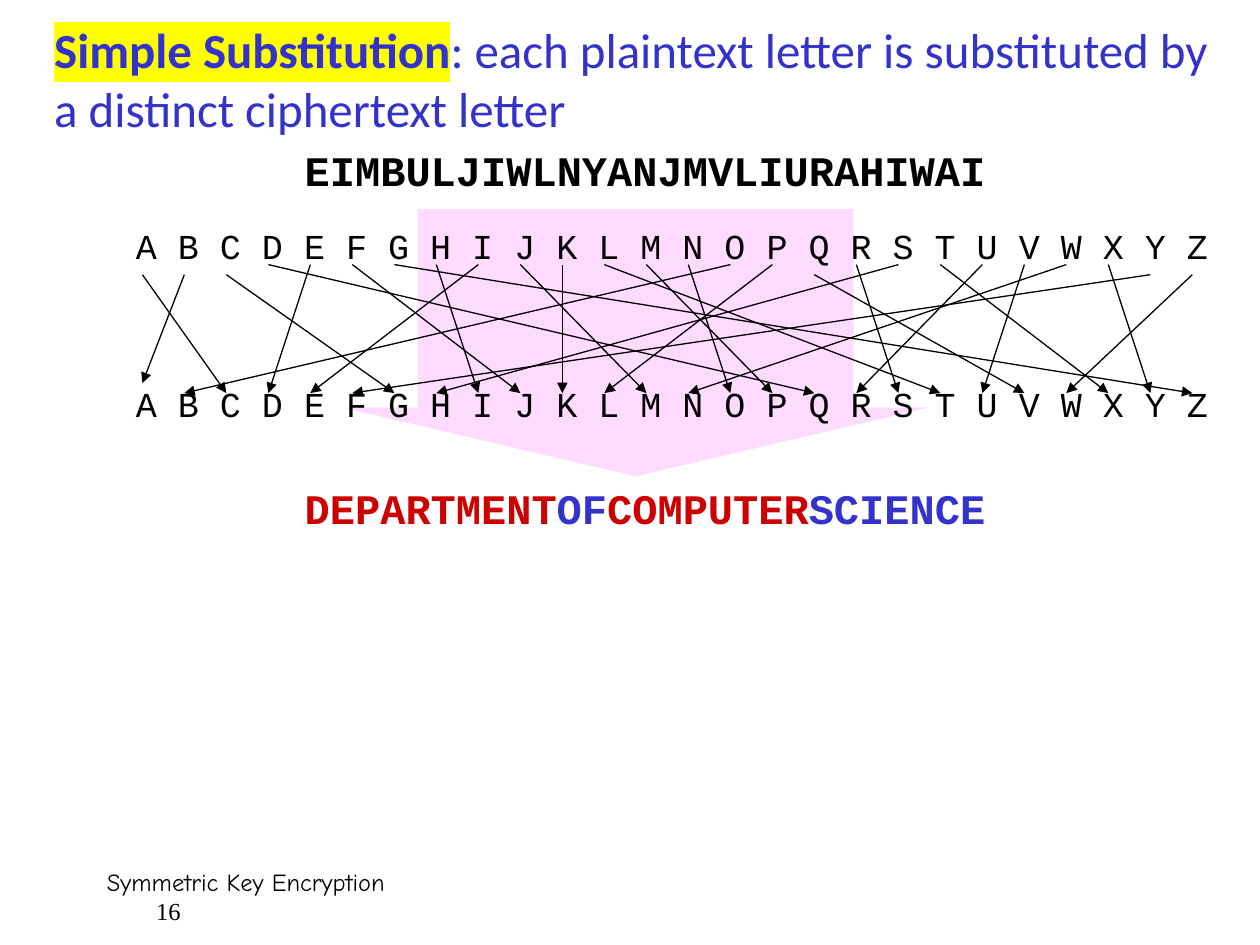
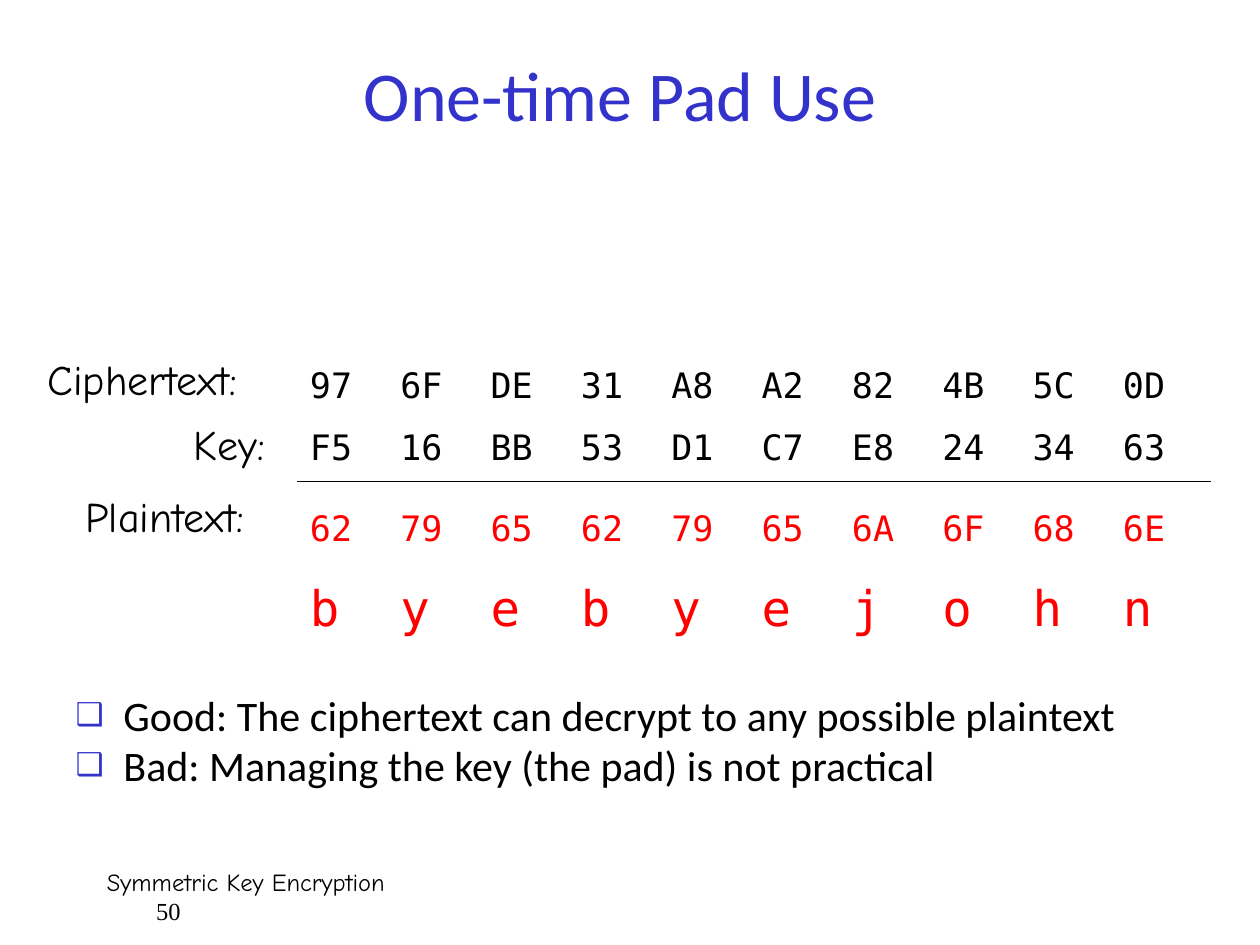
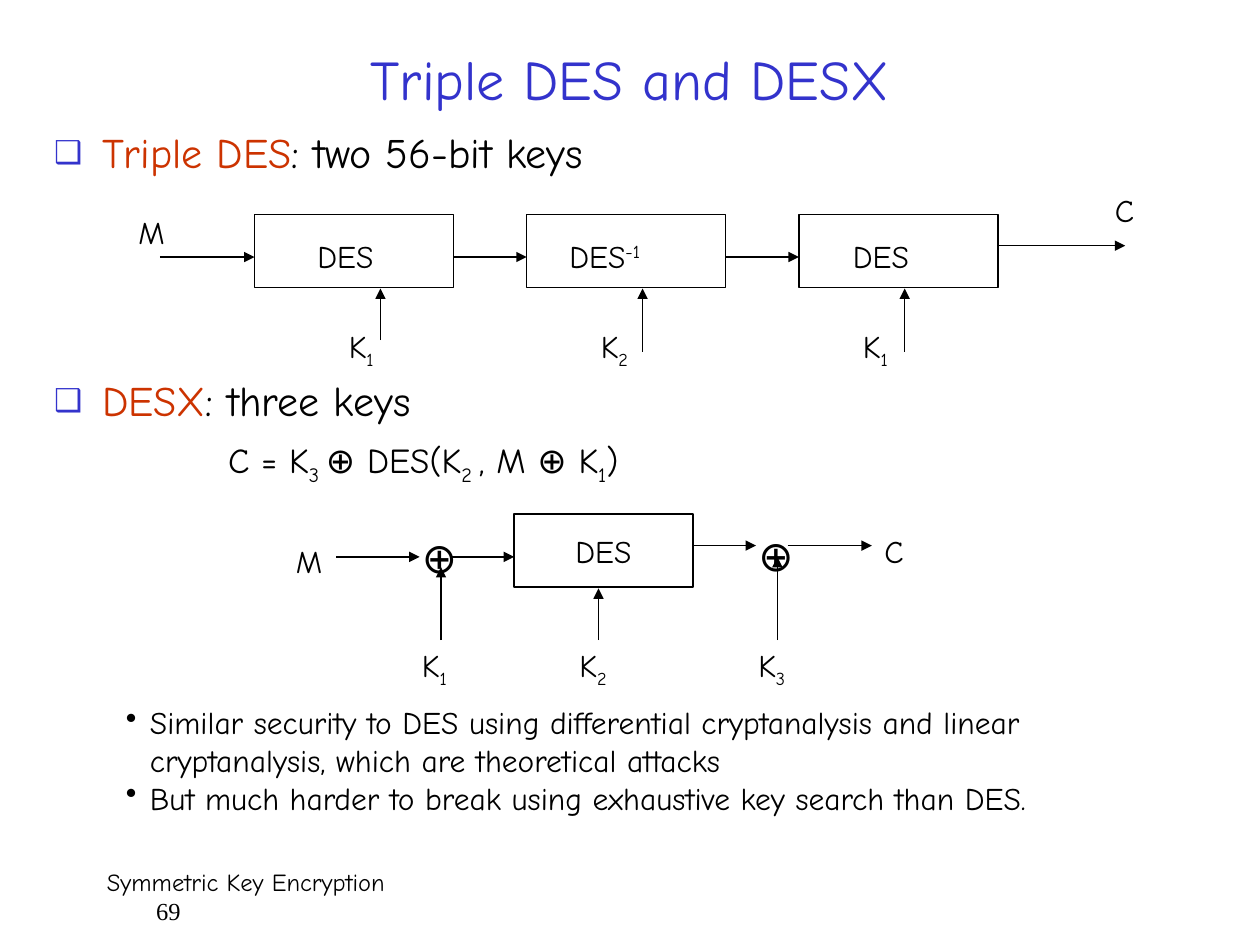
import pptx
import pptx.util
import pptx.dml.color
import pptx.enum.shapes
import pptx.enum.text
import pptx.oxml.ns
import lxml.etree

HUES = {"ink": "000000", "blue": "3333CC", "red": "CC0000", "rust": "CC3300",
        "bright": "FF0000", "pink": "FFCCFF", "yellow": "FFFF00"}
HAND, SANS, TYPE, CODE, SERIF = ("Comic Neue", "Calibri", "Courier New",
                                 "DejaVu Sans Mono", "Times New Roman")
SUB = {"base": -25}
BOXES = {"foot": (0.75, 6.83, 8.58, 0.5)}
ALPHA = "ABCDEFGHIJKLMNOPQRSTUVWXYZ"
KEY = "CAGQDJZIEMKTPOBLVSHXRUNYFW"

Inches = pptx.util.Inches
Pt = pptx.util.Pt
ANCHOR = pptx.enum.text.MSO_ANCHOR
FIT = pptx.enum.text.MSO_AUTO_SIZE
ALIGN = pptx.enum.text.PP_ALIGN
SHAPE = pptx.enum.shapes.MSO_SHAPE


def hue(name):
    """Return the named colour."""
    return pptx.dml.color.RGBColor.from_string(HUES[name])


def node(parent, tag, **attrs):
    """Append a drawing element to the parent."""
    return lxml.etree.SubElement(parent, pptx.oxml.ns.qn(tag), attrs)


def write(para, runs, font=HAND, size=18, tint="ink"):
    """Add runs, each a string or a pair of text and options."""
    for item in runs:
        text, opts = (item, {}) if isinstance(item, str) else item
        run = para.add_run()
        run.text = text
        run.font.name = opts.get("font", font)
        run.font.size = Pt(opts.get("size", size))
        run.font.bold = opts.get("bold", False)
        run.font.color.rgb = hue(opts.get("tint", tint))
        props = run._r.get_or_add_rPr()
        if "base" in opts:
            props.set("baseline", str(opts["base"] * 1000))
        if "mark" in opts:
            light = node(props, "a:highlight")
            node(light, "a:srgbClr", val=HUES[opts["mark"]])
            props.find(pptx.oxml.ns.qn("a:solidFill")).addnext(light)


def indent(para, left, hang=0, mark=None, tint=None, size=None):
    """Set the indent of a paragraph and its bullet."""
    props = para._p.get_or_add_pPr()
    props.set("marL", str(Inches(left)))
    props.set("indent", str(-Inches(hang)))
    if tint:
        node(node(props, "a:buClr"), "a:srgbClr", val=HUES[tint])
    if size:
        node(props, "a:buSzPct", val=str(size * 1000))
    if mark:
        node(props, "a:buChar", char=mark)
    else:
        node(props, "a:buNone")


def square(para):
    """Give a paragraph the hollow square bullet."""
    indent(para, 0.38, 0.38, "❑", "blue", 75)


def place(shape, box):
    """Move a shape to a box."""
    shape.left, shape.top, shape.width, shape.height = map(Inches, box)


def label(slide, box, runs, wrap=False, **style):
    """Add a text box with one line of runs."""
    frame = slide.shapes.add_textbox(*map(Inches, box)).text_frame
    frame.word_wrap = wrap
    frame.auto_size = FIT.SHAPE_TO_FIT_TEXT
    write(frame.paragraphs[0], runs, **style)


def line(slide, start, end, head=True):
    """Draw a thin line, with an arrowhead at its end."""
    link = slide.shapes.add_connector(
        pptx.enum.shapes.MSO_CONNECTOR.STRAIGHT, *map(Inches, (*start, *end)))
    link.line.color.rgb = hue("ink")
    link.line.width = Pt(0.75)
    props = link._element.spPr
    if head:
        node(props.find(pptx.oxml.ns.qn("a:ln")), "a:tailEnd", type="triangle")
    node(props, "a:effectLst")


def block(slide, box):
    """Draw an outlined box and return it."""
    shape = slide.shapes.add_shape(SHAPE.RECTANGLE, *map(Inches, box))
    shape.shadow.inherit = False
    shape.fill.background()
    shape.line.color.rgb = hue("ink")
    shape.line.width = Pt(0.75)
    return shape


def title(slide, box, runs, size, font=SANS, align=ALIGN.CENTER):
    """Fill and place the title."""
    head = slide.shapes.title
    place(head, box)
    frame = head.text_frame
    frame.auto_size = FIT.NONE
    frame.vertical_anchor = ANCHOR.MIDDLE
    frame.paragraphs[0].alignment = align
    write(frame.paragraphs[0], runs, font, size, "blue")


def body(slide, box):
    """Place the body placeholder and return its frame."""
    hold = slide.placeholders[1]
    place(hold, box)
    hold.text_frame.auto_size = FIT.NONE
    return hold.text_frame


def foot(slide, box, page):
    """Add the footer and page number."""
    frame = slide.shapes.add_textbox(*map(Inches, box)).text_frame
    frame.word_wrap = True
    write(frame.paragraphs[0], ["Symmetric Key Encryption"], size=14)
    para = frame.add_paragraph()
    indent(para, 0.39)
    write(para, [str(page)], SERIF, 14)


def start(deck, layout, page):
    """Add a slide with its footer."""
    slide = deck.slides.add_slide(deck.slide_layouts[layout])
    foot(slide, BOXES["foot"], page)
    return slide


def cipher(slide, box):
    """Draw the letter map on its broad arrow."""
    left, top, width, height = box
    arrow = slide.shapes.add_shape(
        SHAPE.DOWN_ARROW, *map(Inches, (left + 1.74, top, 4.65, height)))
    arrow.adjustments[0], arrow.adjustments[1] = 0.744, 0.257
    arrow.shadow.inherit = False
    arrow.line.fill.background()
    arrow.fill.solid()
    arrow.fill.fore_color.rgb = hue("pink")
    tone = next(arrow._element.spPr.iter(pptx.oxml.ns.qn("a:srgbClr")))
    node(tone, "a:alpha", val="70000")
    for drop in (0.07, 1.33):
        label(slide, (left, top + drop, width, 0.43), [" ".join(ALPHA)],
              True, font=TYPE, size=20)
    for rank, (plain, goal) in enumerate(zip(ALPHA, KEY)):
        high = 0.52 if plain in "ABCQYZ" else 0.44
        low = 1.38 if plain == "B" else 1.46
        line(slide, (left + 0.15 + rank / 3, top + high),
             (left + 0.15 + ALPHA.index(goal) / 3, top + low))


def grid(slide, box, rows, tall):
    """Add a clear table of codes, each row a tuple of cells, size and tint."""
    frame = slide.shapes.add_table(len(rows), 10, *map(Inches, box))
    table = frame.table
    table.first_row = table.horz_banding = False
    for col in table.columns:
        col.width = Inches(box[2] / 10)
    for rank, (codes, size, tint) in enumerate(rows):
        table.rows[rank].height = Inches(tall[rank])
        for spot, cell in enumerate(table.rows[rank].cells):
            cell.fill.background()
            cell.vertical_anchor = ANCHOR.MIDDLE
            if codes:
                write(cell.text_frame.paragraphs[0], [codes[spot]],
                      CODE, size, tint)


def pad(slide, box):
    """Lay out the cipher, key and plain rows."""
    left, top, width, height = box
    wide = 7.17
    edge = left + 2.08
    grid(slide, (edge, top, wide, 1.22),
         [(None, 20, "ink"),
          ("97 6F DE 31 A8 A2 82 4B 5C 0D".split(), 20, "ink")], (0.58, 0.64))
    grid(slide, (edge, top + 1.07, wide, 1.93),
         [("F5 16 BB 53 D1 C7 E8 24 34 63".split(), 20, "ink"),
          ("62 79 65 62 79 65 6A 6F 68 6E".split(), 20, "bright"),
          ("byebyejohn", 28, "bright")], (0.64,) * 3)
    line(slide, (edge, top + 1.65), (left + width, top + 1.65), False)
    for text, across, down, size in (("Ciphertext:", 0, 0.59, 2),
                                     ("Key:", 1.16, 1.1, 0.86),
                                     ("Plaintext:", 0.3, 1.67, 1.7)):
        label(slide, (left + across, top + down, size, 0.57), [text], size=24)


def triple(slide, box):
    """Draw the chain of three DES blocks."""
    left, top, width, height = box
    stages = ((["DES"], 1.42, "1", 1.67, 1.23),
              (["DES", ("-1", {"base": 30})], 3.42, "2", 3.67, 1.32),
              (["DES"], 5.67, "1", 5.75, 1.32))
    for rank, (name, across, key, side, low) in enumerate(stages):
        edge = left + 1.02 + 2.16 * rank
        stem = left + 2.02 + 2.08 * rank
        gap = 0.58 if rank else 0.75
        block(slide, (edge, top + 0.23, 1.58, 0.58))
        label(slide, (left + across, top + 0.36, 0.8, 0.4), name)
        label(slide, (left + side, top + 1.08, 0.45, 0.4), ["K", (key, SUB)])
        line(slide, (edge - gap, top + 0.57), (edge, top + 0.57))
        line(slide, (stem, top + low), (stem, top + 0.82))
    line(slide, (left + 6.93, top + 0.48), (left + 7.93, top + 0.48))
    label(slide, (left, top + 0.17, 0.42, 0.4), ["M"])
    label(slide, (left + 7.75, top, 0.35, 0.4), ["C"])


def desx(slide, box):
    """Draw the DESX chain with its three keys."""
    left, top, width, height = box
    core = block(slide, (left + 1.83, top, 1.42, 0.58))
    frame = core.text_frame
    frame.word_wrap = False
    frame.vertical_anchor = ANCHOR.MIDDLE
    frame.paragraphs[0].alignment = ALIGN.CENTER
    write(frame.paragraphs[0], ["DES"])
    for across, down in ((1, 0.09), (3.67, 0.07)):
        label(slide, (left + across, top + down, 0.43, 0.43), ["⊕"], size=24)
    for begin, end, down in ((0.42, 1.08, 0.34), (1.33, 1.83, 0.34),
                             (3.25, 3.75, 0.25), (4, 4.67, 0.25)):
        line(slide, (left + begin, top + down), (left + end, top + down))
    for key, across, high in (("1", 1.25, 0.42), ("2", 2.5, 0.59),
                              ("3", 3.92, 0.34)):
        line(slide, (left + across, top + 1), (left + across, top + high))
        label(slide, (left + across - 0.25, top + 1, 0.45, 0.4),
              ["K", (key, SUB)])
    label(slide, (left, top + 0.17, 0.42, 0.4), ["M"])
    label(slide, (left + 4.67, top + 0.09, 0.35, 0.4), ["C"])


def topics(slide, box):
    """Write the two topics and the DESX formula."""
    frame = body(slide, box)
    for name, rest, gap, pitch in (("Triple DES", ": two 56-bit keys", 0, 0.9),
                                   ("DESX", ": three keys", 107, 1.2)):
        para = frame.add_paragraph() if gap else frame.paragraphs[0]
        para.space_before = Pt(gap)
        para.line_spacing = pitch
        square(para)
        write(para, [(name, {"tint": "rust"}), rest], size=24)
    para = frame.add_paragraph()
    para.space_before = Pt(8)
    para.line_spacing = 0.9
    indent(para, 1.38)
    write(para, ["C = K", ("3 ", SUB), "⊕ DES(K", ("2 ", SUB), ", M ⊕ K",
                 ("1", SUB), ")"], size=20)


def notes(slide, box):
    """List the remarks on security."""
    frame = slide.shapes.add_textbox(*map(Inches, box)).text_frame
    frame.word_wrap = True
    frame.margin_left = frame.margin_right = 0
    frame.margin_top = frame.margin_bottom = 0
    for rank, text in enumerate((
            "Similar security to DES using differential cryptanalysis and "
            "linear cryptanalysis, which are theoretical attacks",
            "But much harder to break using exhaustive key search than DES.")):
        para = frame.add_paragraph() if rank else frame.paragraphs[0]
        indent(para, 0.19, 0.19, "•")
        write(para, [text])


def verdict(slide, box):
    """List the good and bad sides of the pad."""
    frame = body(slide, box)
    for rank, text in enumerate((
            "Good: The ciphertext can decrypt to any possible plaintext",
            "Bad: Managing the key (the pad) is not practical")):
        para = frame.add_paragraph() if rank else frame.paragraphs[0]
        para.space_before = Pt(0)
        square(para)
        write(para, [text], SANS, 24)


def simple(deck):
    """Build the substitution slide."""
    slide = start(deck, 5, 16)
    title(slide, (0.33, 0.17, 9.48, 0.91),
          [("Simple Substitution", {"bold": True, "mark": "yellow"}),
           ": each plaintext letter is substituted by "
           "a distinct ciphertext letter"], 28, align=ALIGN.LEFT)
    cipher(slide, (0.98, 1.66, 9.02, 2.12))
    words = (("EIMBULJIWLNYANJMVLIURAHIWAI", "ink"),), (
        ("DEPARTMENT", "red"), ("OF", "blue"),
        ("COMPUTER", "red"), ("SCIENCE", "blue"))
    for top, parts in zip((1.1, 3.78), words):
        label(slide, (2.32, top, 5.67, 0.5),
              [(text, {"tint": tint, "bold": True}) for text, tint in parts],
              True, font=TYPE, size=24)


def once(deck):
    """Build the one-time pad slide."""
    slide = start(deck, 1, 50)
    title(slide, (0.67, 0.33, 8.5, 0.83), ["One-time Pad Use"], 40)
    pad(slide, (0.28, 2.17, 9.33, 3))
    verdict(slide, (0.5, 5.42, 8.83, 1))


def chain(deck):
    """Build the Triple DES and DESX slide."""
    slide = start(deck, 1, 69)
    title(slide, (0.75, 0.33, 8.5, 0.58), ["Triple DES and DESX"], 32, HAND)
    topics(slide, (0.33, 1, 9.25, 3.33))
    triple(slide, (1, 1.47, 8.1, 1.48))
    desx(slide, (2.25, 4.08, 5.02, 1.4))
    notes(slide, (1, 5.58, 8.33, 0.9))


def main():
    """Build and save the deck."""
    deck = pptx.Presentation()
    deck.slide_width, deck.slide_height = Inches(10), Inches(7.5)
    for build in (simple, once, chain):
        build(deck)
    deck.save("out.pptx")


if __name__ == "__main__":
    main()
